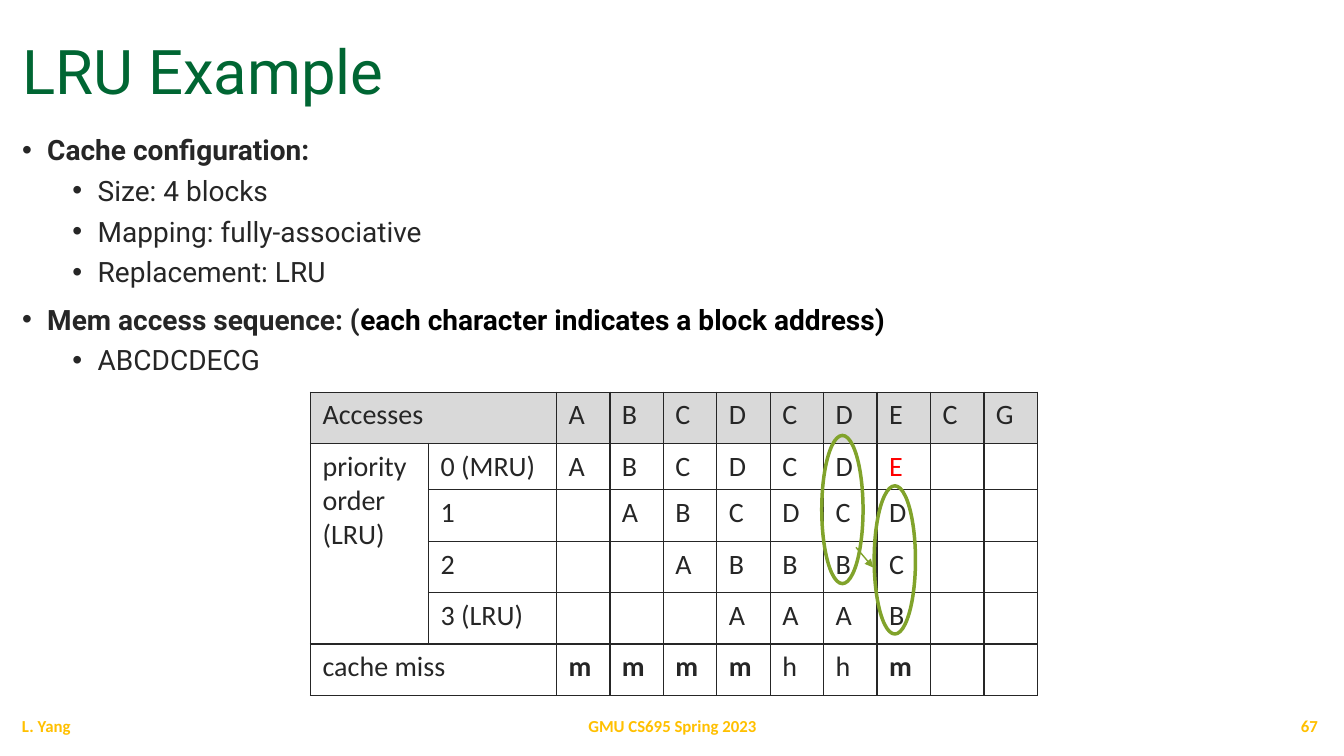
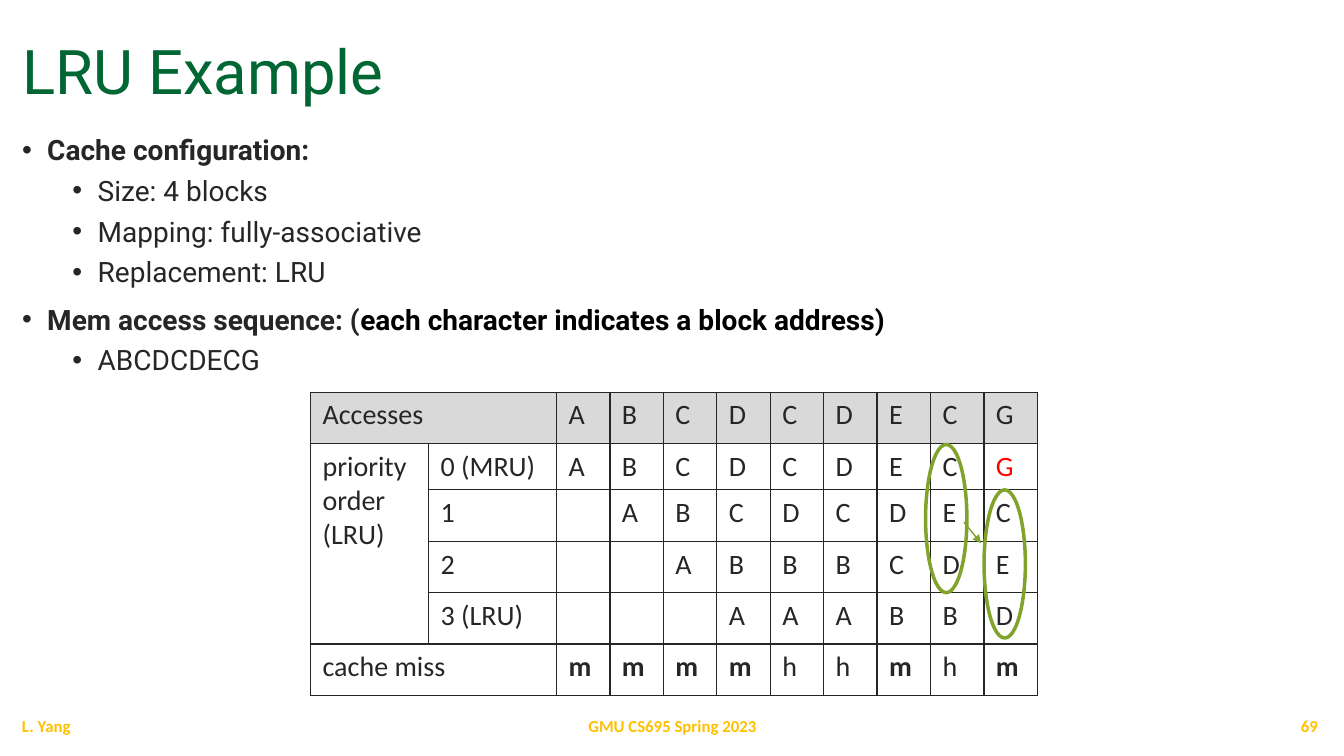
from dataclasses import dataclass

from lxml import etree
from pptx import Presentation
from pptx.dml.color import RGBColor
from pptx.enum.shapes import MSO_CONNECTOR, MSO_SHAPE
from pptx.enum.text import MSO_ANCHOR, PP_ALIGN
from pptx.oxml.ns import qn
from pptx.util import Inches, Pt

LEFT, CENTER, RIGHT = PP_ALIGN.LEFT, PP_ALIGN.CENTER, PP_ALIGN.RIGHT
TOP, MIDDLE, BOTTOM = MSO_ANCHOR.TOP, MSO_ANCHOR.MIDDLE, MSO_ANCHOR.BOTTOM
ELLIPSE, STRAIGHT = MSO_SHAPE.OVAL, MSO_CONNECTOR.STRAIGHT

GREEN, OLIVE, GOLD = "006633", "81A32B", "FFC000"
INK, BLACK, RED, GRAY = "262626", "000000", "FF0000", "D9D9D9"
TITLE_FONT, TABLE_FONT = "Roboto", "Calibri"

ACCESSES = "ABCDCDECG"
CACHE_SIZE = 4
ROW_LABELS = ["Accesses", "0 (MRU)", "1", "2", "3 (LRU)", "cache miss"]
LABEL_WIDTHS = [1.17, 1.27]
ACCESS_WIDTH = 0.53
ROW_HEIGHTS = [0.51, 0.46, 0.51, 0.51, 0.51, 0.51]
RING_SIZE = (0.41, 1.47)


@dataclass(frozen=True)
class Bullet:
    text: str
    level: int = 1
    remark: str = ""


@dataclass(frozen=True)
class Step:
    number: int
    shown: int
    rings: tuple
    arrow: tuple


BULLETS = [
    Bullet("Cache configuration:", 0),
    Bullet("Size: 4 blocks"),
    Bullet("Mapping: fully-associative"),
    Bullet("Replacement: LRU"),
    Bullet("Mem access sequence: (", 0, "each character indicates a block address)"),
    Bullet(ACCESSES),
]

STEPS = [
    Step(67, 7, ((8.15, 4.32), (8.67, 4.82)), (8.49, 5.43, 8.66, 5.63)),
    Step(69, 9, ((9.18, 4.41), (9.76, 4.86)), (9.56, 5.18, 9.73, 5.39)),
]


def rgb(value: str) -> RGBColor:
    return RGBColor.from_string(value)


def add_span(para, text: str, *, font=TITLE_FONT, size=20, color=INK, bold=False):
    span = para.add_run()
    span.text = text
    span.font.name = font
    span.font.size = Pt(size)
    span.font.bold = bold
    span.font.color.rgb = rgb(color)


def add_box(page, left, top, width, height, anchor=TOP):
    box = page.shapes.add_textbox(Inches(left), Inches(top), Inches(width), Inches(height))
    box.text_frame.word_wrap = True
    box.text_frame.vertical_anchor = anchor
    return box


def add_text(page, text: str, frame: tuple, *, anchor=MIDDLE, align=LEFT, spacing=None, **style):
    para = add_box(page, *frame, anchor).text_frame.paragraphs[0]
    para.alignment = align
    para.line_spacing = spacing
    add_span(para, text, **style)


def add_bullets(page, bullets: list[Bullet]):
    text_frame = add_box(page, 0.12, 1.27, 13.05, 5.63).text_frame
    for index, bullet in enumerate(bullets):
        para = text_frame.add_paragraph() if index else text_frame.paragraphs[0]
        para.level = bullet.level
        if index:
            para.space_before = Pt(5 if bullet.level else 10)
        properties = para._p.get_or_add_pPr()
        properties.set("marL", str(Inches(0.25 + 0.5 * bullet.level)))
        properties.set("indent", str(Inches(-0.25)))
        etree.SubElement(properties, qn("a:buFont"), typeface="Arial")
        etree.SubElement(properties, qn("a:buChar"), char="•")
        bold = bullet.level == 0
        add_span(para, bullet.text, bold=bold)
        if bullet.remark:
            add_span(para, bullet.remark, bold=bold, color=BLACK)


def cache_columns(accesses: str) -> list[list[str]]:
    columns, blocks = [], []
    for address in accesses:
        result = "h" if address in blocks else "m"
        blocks = [address] + [block for block in blocks if block != address]
        blocks = blocks[:CACHE_SIZE]
        columns.append(blocks + [""] * (CACHE_SIZE - len(blocks)) + [result])
    return columns


def outline_cell(cell):
    properties = cell._tc.get_or_add_tcPr()
    for side in ("a:lnL", "a:lnR", "a:lnT", "a:lnB"):
        edge = etree.SubElement(properties, qn(side), w=str(Pt(1)))
        fill = etree.SubElement(edge, qn("a:solidFill"))
        etree.SubElement(fill, qn("a:srgbClr"), val=INK)


def fill_cell(cell, text: str, **style):
    for index, line in enumerate(text.splitlines()):
        paras = cell.text_frame.paragraphs
        para = cell.text_frame.add_paragraph() if index else paras[0]
        add_span(para, line, font=TABLE_FONT, **style)


def add_cache_table(page, shown: int):
    widths = LABEL_WIDTHS + [ACCESS_WIDTH] * len(ACCESSES)
    table = page.shapes.add_table(
        len(ROW_HEIGHTS), len(widths), Inches(3.08), Inches(3.89),
        Inches(sum(widths)), Inches(sum(ROW_HEIGHTS))).table
    table.first_row = table.horz_banding = False
    for column, width in zip(table.columns, widths):
        column.width = Inches(width)
    for row, height in zip(table.rows, ROW_HEIGHTS):
        row.height = Inches(height)
    for cell in table.iter_cells():
        cell.margin_left = cell.margin_right = Inches(0.12)
        cell.margin_top = cell.margin_bottom = Inches(0.06)
        outline_cell(cell)
        cell.fill.background()
    for cell in table.rows[0].cells:
        cell.fill.solid()
        cell.fill.fore_color.rgb = rgb(GRAY)

    last_row = len(ROW_HEIGHTS) - 1
    for index in (0, last_row):
        table.cell(index, 0).merge(table.cell(index, 1))
    table.cell(1, 0).merge(table.cell(CACHE_SIZE, 0))
    fill_cell(table.cell(1, 0), "priority order\n(LRU)")
    for index, label in enumerate(ROW_LABELS):
        fill_cell(table.cell(index, 0 if index in (0, last_row) else 1), label)
    for index, address in enumerate(ACCESSES):
        fill_cell(table.cell(0, index + 2), address)
    for step, values in enumerate(cache_columns(ACCESSES[:shown])):
        for index, value in enumerate(values, 1):
            newest = step == shown - 1 and index == 1
            fill_cell(table.cell(index, step + 2), value,
                      color=RED if newest else INK, bold=value == "m")


def add_ring(page, left: float, top: float):
    width, height = RING_SIZE
    ring = page.shapes.add_shape(ELLIPSE, Inches(left), Inches(top), Inches(width), Inches(height))
    ring.shadow.inherit = False
    ring.fill.background()
    ring.line.color.rgb = rgb(OLIVE)
    ring.line.width = Pt(2.5)


def add_arrow(page, ends: tuple):
    arrow = page.shapes.add_connector(STRAIGHT, *(Inches(end) for end in ends))
    arrow.line.color.rgb = rgb(OLIVE)
    arrow.line.width = Pt(1)
    etree.SubElement(arrow.line._get_or_add_ln(), qn("a:tailEnd"), type="triangle")
    etree.SubElement(arrow._element.spPr, qn("a:effectLst"))


def add_frame(page, title: str, number: int):
    add_text(page, title, (0.12, 0.17, 13.05, 0.95), anchor=BOTTOM, spacing=0.9,
             size=44, color=GREEN)
    footers = [
        ("L. Yang", 0.12, 3, LEFT),
        ("GMU CS695 Spring 2023", 4.42, 4.5, CENTER),
        (str(number), 10.17, 3, RIGHT),
    ]
    for text, left, width, align in footers:
        add_text(page, text, (left, 7, width, 0.4), align=align,
                 font=TABLE_FONT, size=12, color=GOLD, bold=True)


def add_step(deck, step: Step):
    page = deck.slides.add_slide(deck.slide_layouts[6])
    add_frame(page, "LRU Example", step.number)
    add_bullets(page, BULLETS)
    add_cache_table(page, step.shown)
    for left, top in step.rings:
        add_ring(page, left, top)
    add_arrow(page, step.arrow)


def main():
    deck = Presentation()
    deck.slide_width = Inches(13.33)
    deck.slide_height = Inches(7.5)
    for step in STEPS:
        add_step(deck, step)
    deck.save("out.pptx")


if __name__ == "__main__":
    main()
